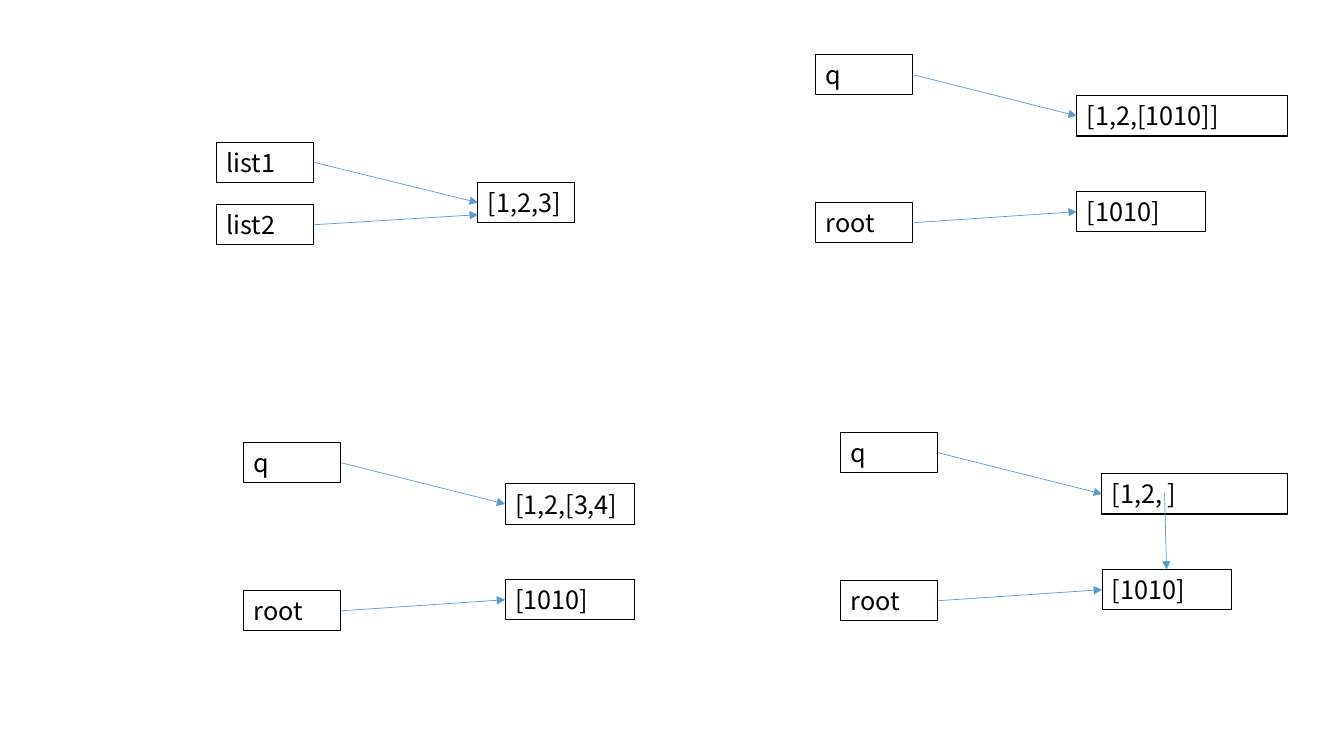
from pptx import Presentation
from pptx.dml.color import RGBColor
from pptx.enum import shapes, text
from pptx.oxml import parse_xml
from pptx.oxml.ns import nsdecls
from pptx.util import Inches, Pt

BLACK = RGBColor(0x00, 0x00, 0x00)
BLUE = RGBColor(0x5B, 0x9B, 0xD5)
FONT = "Noto Sans CJK KR"

BOX_HEIGHT = 0.4
NAME_WIDTH = 0.96
SHORT_WIDTH = 1.28
VALUE_OFFSET = 2.59  # from the left of a name to the left of its value

# Left, top, value of q and its width
QUEUE_PANELS = [
    (2.42, 4.39, "[1,2,[3,4]", SHORT_WIDTH),
    (8.34, 4.29, "[1,2, ]", 1.84),
    (8.09, 0.54, "[1,2,[1010]]", 2.09),
]


def add_box(slide, label, left, top, width):
    """Add an outlined box holding a name or a value."""
    box = slide.shapes.add_shape(
        shapes.MSO_SHAPE.RECTANGLE,
        Inches(left), Inches(top), Inches(width), Inches(BOX_HEIGHT))
    box.shadow.inherit = False
    box.fill.background()
    box.line.color.rgb = BLACK
    box.line.width = Pt(0.75)

    frame = box.text_frame
    frame.word_wrap = True
    frame.margin_top = frame.margin_bottom = 0
    frame.vertical_anchor = text.MSO_ANCHOR.MIDDLE
    frame.text = label
    paragraph = frame.paragraphs[0]
    paragraph.alignment = text.PP_ALIGN.LEFT
    font = paragraph.runs[0].font
    font.name = FONT
    font.size = Pt(18)
    font.color.rgb = BLACK


def add_arrow(slide, start, end):
    """Add a thin reference arrow between two (x, y) points."""
    arrow = slide.shapes.add_connector(
        shapes.MSO_CONNECTOR.STRAIGHT,
        *(Inches(length) for length in (*start, *end)))
    arrow.line.color.rgb = BLUE
    arrow.line.width = Pt(0.5)
    arrow.line._get_or_add_ln().append(
        parse_xml(f'<a:tailEnd {nsdecls("a")} type="triangle"/>'))
    arrow._element.spPr.append(parse_xml(f'<a:effectLst {nsdecls("a")}/>'))


def add_name(slide, name, left, top, target_y):
    """Add a variable name and the arrow to its value."""
    add_box(slide, name, left, top, NAME_WIDTH)
    add_arrow(slide, (left + NAME_WIDTH, top + BOX_HEIGHT / 2),
              (left + VALUE_OFFSET, target_y))


def add_list_panel(slide, left, top):
    """Two names that share one list."""
    add_box(slide, "[1,2,3]", left + VALUE_OFFSET, top + 0.4, NAME_WIDTH)
    add_name(slide, "list1", left, top, top + 0.6)
    add_name(slide, "list2", left, top + 0.62, top + 0.72)


def add_queue_panel(slide, left, top, queue, queue_width):
    """The names q and root, each with its own list."""
    value_left = left + VALUE_OFFSET
    rows = [
        ("q", 0, queue, 0.41, queue_width),
        ("root", 1.47, "[1010]", 1.36, SHORT_WIDTH),
    ]
    for name, name_drop, value, value_drop, width in rows:
        value_top = top + value_drop
        add_box(slide, value, value_left, value_top, width)
        add_name(slide, name, left, top + name_drop,
                 value_top + BOX_HEIGHT / 2)


def main():
    prs = Presentation()
    prs.slide_width, prs.slide_height = Inches(13.33), Inches(7.5)
    slide = prs.slides.add_slide(prs.slide_layouts[6])

    # Shared list
    add_list_panel(slide, 2.15, 1.41)

    # Queue and root states
    for panel in QUEUE_PANELS:
        add_queue_panel(slide, *panel)

    # Reference from inside q to the root list
    add_arrow(slide, (11.55, 4.89), (11.57, 5.65))

    prs.save("out.pptx")


if __name__ == "__main__":
    main()
